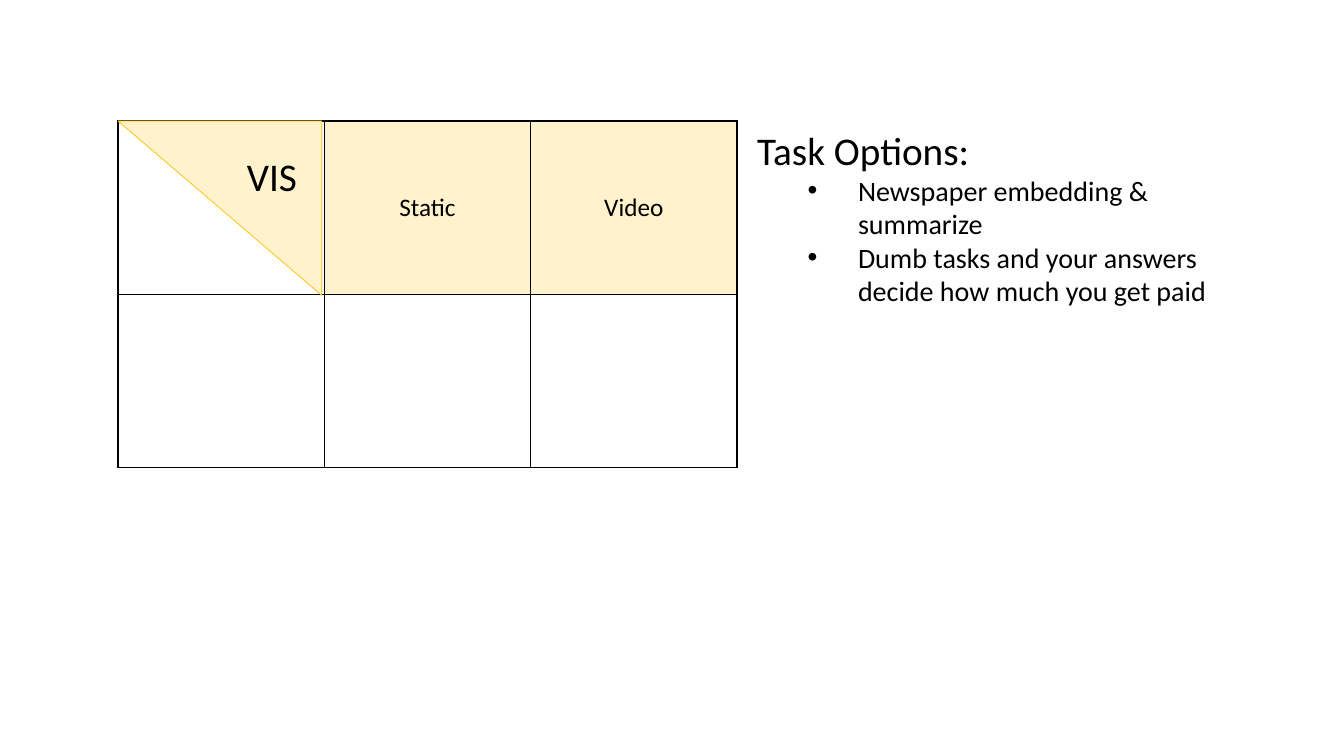
from lxml import etree
from pptx import Presentation
from pptx import util as u
from pptx.dml.color import RGBColor
from pptx.enum import shapes, text
from pptx.oxml.ns import qn

BLACK, CREAM, GOLD = "000000", "FFF2CC", "FFC000"
COLUMNS = ["", "Static", "Video"]
ROWS = 2
TASKS = [
    "Newspaper embedding & summarize",
    "Dumb tasks and your answers decide how much you get paid",
]


def colour(value):
    return RGBColor.from_string(value)


def inches(*lengths):
    return [u.Inches(length) for length in lengths]


def style(para, size):
    for span in para.runs:
        span.font.name = "Calibri"
        span.font.size = u.Pt(size)
        span.font.color.rgb = colour(BLACK)


def border_cell(cell):
    properties = cell._tc.get_or_add_tcPr()
    for position, side in enumerate(("a:lnL", "a:lnR", "a:lnT", "a:lnB")):
        line = etree.Element(qn(side), w=str(u.Pt(1)))
        fill = etree.SubElement(line, qn("a:solidFill"))
        etree.SubElement(fill, qn("a:srgbClr"), val=BLACK)
        properties.insert(position, line)


def indent(para, left, first, bullet=None):
    """Set the left and first-line indents in inches, and the bullet if any."""
    properties = para._p.get_or_add_pPr()
    properties.set("marL", str(u.Inches(left)))
    properties.set("indent", str(u.Inches(first)))
    if bullet:
        etree.SubElement(properties, qn("a:buFont"), typeface="Arial")
        etree.SubElement(properties, qn("a:buChar"), char=bullet)
    else:
        etree.SubElement(properties, qn("a:buNone"))


def add_grid(page, left, top, width, height):
    frame = page.shapes.add_table(ROWS, len(COLUMNS), *inches(left, top, width, height))
    table = frame.table
    table.first_row = table.horz_banding = False
    for row in range(ROWS):
        for column, label in enumerate(COLUMNS):
            cell = table.cell(row, column)
            if row == 0 and label:
                cell.fill.solid()
                cell.fill.fore_color.rgb = colour(CREAM)
                cell.vertical_anchor = text.MSO_ANCHOR.MIDDLE
                para = cell.text_frame.paragraphs[0]
                para.text = label
                para.alignment = text.PP_ALIGN.CENTER
                style(para, 18)
            else:
                cell.fill.background()
            border_cell(cell)


def add_corner(page, left, top, width, height):
    """Split the first cell with a triangle labelled VIS."""
    triangle = page.shapes.add_shape(
        shapes.MSO_SHAPE.RIGHT_TRIANGLE, *inches(left, top, width, height))
    triangle.rotation = 180
    triangle.shadow.inherit = False
    triangle.fill.solid()
    triangle.fill.fore_color.rgb = colour(CREAM)
    triangle.line.color.rgb = colour(GOLD)
    triangle.line.width = u.Pt(0.5)

    label = page.shapes.add_textbox(*inches(left + 1.18, top + 0.26, 0.7, 0.57))
    label.text_frame.word_wrap = False
    label.text_frame.text = "VIS"
    style(label.text_frame.paragraphs[0], 28)


def add_tasks(page, left, top, width, height):
    box = page.placeholders[1]
    box.left, box.top, box.width, box.height = inches(left, top, width, height)
    frame = box.text_frame
    frame.auto_size = text.MSO_AUTO_SIZE.NONE
    frame.text = "\n".join(["Task Options:"] + TASKS)
    for number, para in enumerate(frame.paragraphs):
        para.space_before = u.Pt(0)
        if number == 0:
            indent(para, 0, 0)
            style(para, 28)
        else:
            para.level = 1
            indent(para, 1, -0.5, "•")
            style(para, 20)


def main():
    deck = Presentation()
    deck.slide_width, deck.slide_height = inches(13.33, 7.5)
    page = deck.slides.add_slide(deck.slide_layouts[1])
    title = page.shapes.title.element
    title.getparent().remove(title)

    add_grid(page, 1.17, 1.2, 6.14, 3.44)
    add_tasks(page, 7.41, 1.2, 5.1, 2.39)
    add_corner(page, 1.17, 1.2, 2.02, 1.73)
    deck.save("out.pptx")


if __name__ == "__main__":
    main()
